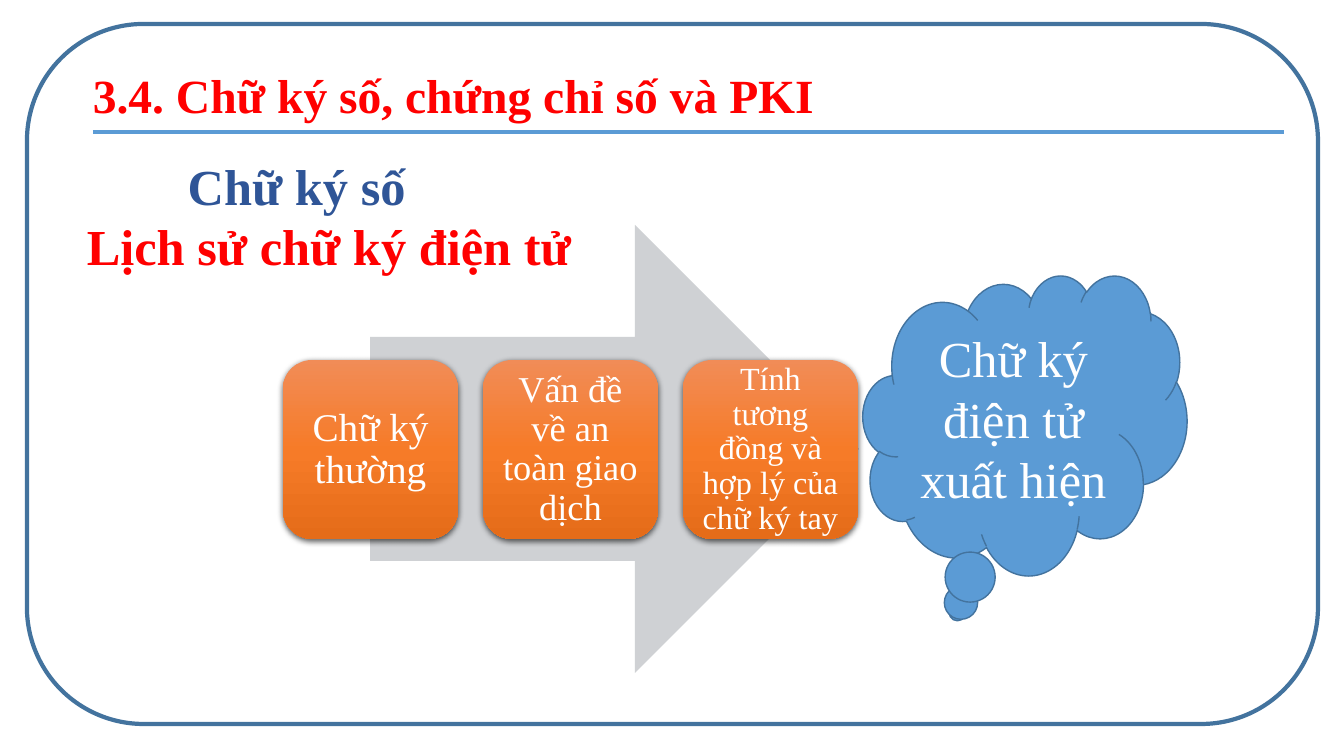
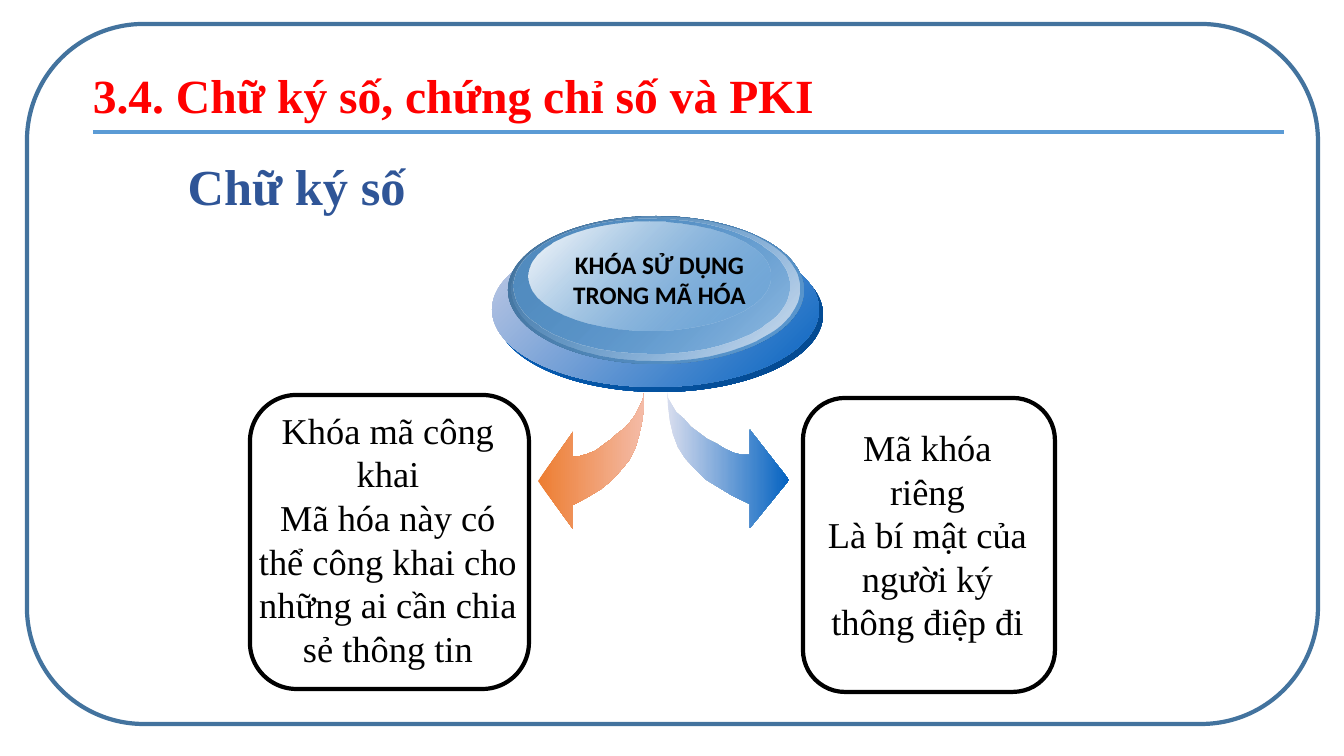
"""Builds two slides on digital signatures: their history and the keys they use."""
import lxml.etree
import pptx
import pptx.dml.color
import pptx.enum.shapes
import pptx.enum.text
import pptx.oxml.ns
import pptx.util

PX = 9071
SERIF = "Times New Roman"
RED, NAVY, BLUE, EDGE = "FF0000", "2F5597", "5B9BD5", "43739E"
BLACK, WHITE, DEEP_BLUE = "000000", "FFFFFF", "0563C1"

rgb = pptx.dml.color.RGBColor.from_string
qn = pptx.oxml.ns.qn
SHAPES = pptx.enum.shapes.MSO_SHAPE
ALIGN = pptx.enum.text.PP_ALIGN
MIDDLE = pptx.enum.text.MSO_ANCHOR.MIDDLE


def paint(shape, stops=(), angle=0, line=None, weight=1):
    """Fill with nothing, one colour or (position, colour, opacity) stops, then outline."""
    shape.shadow.inherit = False
    if not stops:
        shape.fill.background()
    elif isinstance(stops, str):
        shape.fill.solid()
        shape.fill.fore_color.rgb = rgb(stops)
    else:
        shape.fill.gradient()
        shape.fill.gradient_angle = (360 - angle) % 360
        stop_list = shape._element.spPr.find(qn("a:gradFill")).find(qn("a:gsLst"))
        for old_stop in list(stop_list):
            stop_list.remove(old_stop)
        for position, colour, opacity in stops:
            stop = lxml.etree.SubElement(stop_list, qn("a:gs"), pos=str(position * 1000))
            value = lxml.etree.SubElement(stop, qn("a:srgbClr"), val=colour)
            if opacity < 100:
                lxml.etree.SubElement(value, qn("a:alpha"), val=str(opacity * 1000))
    if line:
        shape.line.color.rgb = rgb(line)
        shape.line.width = pptx.util.Pt(weight)
    else:
        shape.line.fill.background()


def write(shape, text, size, colours, align=ALIGN.CENTER, bold=False, font=SERIF):
    """Set wrapped text with one colour per paragraph."""
    frame = shape.text_frame
    frame.word_wrap = True
    frame.text = text
    for paragraph, colour in zip(frame.paragraphs, colours):
        paragraph.alignment = align
        for run in paragraph.runs:
            run.font.size = pptx.util.Pt(size)
            run.font.name = font
            run.font.bold = bold
            run.font.color.rgb = rgb(colour)
    return frame


deck = pptx.Presentation()
deck.slide_width, deck.slide_height = 1344 * PX, 756 * PX

slides = []
for heading in ("Chữ ký số\nLịch sử chữ ký điện tử", "Chữ ký số"):
    slide = deck.slides.add_slide(deck.slide_layouts[6])
    slides.append(slide)
    border = slide.shapes.add_shape(SHAPES.ROUNDED_RECTANGLE, 27 * PX, 24 * PX, 1291 * PX, 700 * PX)
    paint(border, line=EDGE, weight=3)
    rule = slide.shapes.add_connector(
        pptx.enum.shapes.MSO_CONNECTOR.STRAIGHT, 93 * PX, 132 * PX, 1284 * PX, 132 * PX)
    rule.line.color.rgb = rgb(BLUE)
    rule.line.width = pptx.util.Pt(2.25)
    lxml.etree.SubElement(rule._element.spPr, qn("a:effectLst"))
    title = slide.shapes.add_textbox(83 * PX, 61 * PX, 1241 * PX, 68 * PX)
    write(title, "3.4. Chữ ký số, chứng chỉ số và PKI", 34, [RED], ALIGN.LEFT, True)
    topic = slide.shapes.add_textbox(77 * PX, 150 * PX, 1193 * PX, 132 * PX)
    lines = write(topic, heading, 36, [NAVY, RED], ALIGN.JUSTIFY, True)
    lines.paragraphs[0]._p.get_or_add_pPr().set("marL", str(pptx.util.Inches(1)))

history, keys = slides

progress = history.shapes.add_shape(SHAPES.RIGHT_ARROW, 370 * PX, 225 * PX, 489 * PX, 448 * PX)
paint(progress, "CFD1D4")

stages = [
    ("Chữ ký thường", 28, 12),
    ("Vấn đề về an toàn giao dịch", 26, 11),
    ("Tính tương đồng và hợp lý của chữ ký tay", 23, 10),
]
for index, (label, size, inset) in enumerate(stages):
    stage = history.shapes.add_shape(
        SHAPES.ROUNDED_RECTANGLE, (283 + 200 * index) * PX, 360 * PX, 175 * PX, 179 * PX)
    paint(stage, [(0, "F18C57", 100), (50, "F67B28", 100), (100, "E56C19", 100)], 90)
    shadow = lxml.etree.SubElement(
        stage._element.spPr.find(qn("a:effectLst")), qn("a:outerShdw"),
        blurRad="57150", dist="19050", dir="5400000", algn="ctr", rotWithShape="0")
    shade = lxml.etree.SubElement(shadow, qn("a:srgbClr"), val=BLACK)
    lxml.etree.SubElement(shade, qn("a:alpha"), val="63000")
    frame = write(stage, label, size, [WHITE])
    frame.vertical_anchor = MIDDLE
    frame.margin_left = frame.margin_right = inset * PX
    frame.margin_top = frame.margin_bottom = inset * PX
    frame.paragraphs[0].line_spacing = 0.9

outcome = history.shapes.add_shape(SHAPES.CLOUD_CALLOUT, 863 * PX, 275 * PX, 324 * PX, 300 * PX)
paint(outcome, BLUE, line=EDGE)
write(outcome, "Chữ ký điện tử xuất hiện", 36, [WHITE]).vertical_anchor = MIDDLE

for left, top, width, height in [(250, 395, 279, 294), (803, 398, 252, 294)]:
    panel = keys.shapes.add_shape(
        SHAPES.ROUNDED_RECTANGLE, left * PX, top * PX, width * PX, height * PX)
    paint(panel, line=BLACK, weight=3)

to_public = [
    (644, 393), (644, 408), (642, 422), (639, 435), (635, 449), (629, 460), (621, 470),
    (612, 480), (601, 489), (588, 497), (573, 505), (573, 529), (538, 481), (573, 432),
    (573, 457), (580, 456), (587, 454), (595, 451), (602, 446), (610, 440), (617, 434),
    (625, 428), (631, 421), (636, 414), (640, 406), (643, 399),
]
to_private = [
    (667, 391), (668, 406), (670, 421), (673, 434), (678, 447), (685, 458), (695, 469),
    (705, 479), (718, 487), (733, 496), (750, 504), (750, 528), (789, 480), (750, 430),
    (750, 455), (742, 455), (734, 453), (725, 449), (717, 444), (707, 439), (699, 433),
    (691, 427), (684, 419), (676, 412), (672, 405), (668, 398),
]
for outline, start, end in [(to_public, "ED7D31", "F4BBA7"), (to_private, "D8DDEE", DEEP_BLUE)]:
    builder = keys.shapes.build_freeform(*outline[0], scale=PX)
    builder.add_line_segments(outline[1:], close=True)
    paint(builder.convert_to_shape(), [(0, start, 100), (100, end, 100)])

button_layers = [
    ((496, 237, 327, 155), (DEEP_BLUE, 100), ("04488D", 100)),
    ((492, 232, 327, 155), ("C6CDE6", 100), (DEEP_BLUE, 100)),
    ((508, 216, 296, 148), ("416F98", 100), (BLUE, 100)),
    ((511, 217, 288, 144), (BLUE, 0), ("D8E3F1", 100)),
    ((514, 219, 275, 135), ("528CC0", 100), (BLUE, 48)),
    ((529, 222, 242, 109), (WHITE, 100), (BLUE, 38)),
]
for box, start, end in button_layers:
    layer = keys.shapes.add_shape(SHAPES.OVAL, *[length * PX for length in box])
    paint(layer, [(0, *start), (100, *end)], 45)

captions = [
    ((249, 403, 278, 275), "Khóa mã công khai\nMã hóa này có thể công khai cho những ai cần chia sẻ thông tin",
     26, False, SERIF),
    ((545, 244, 229, 72), "KHÓA SỬ DỤNG\nTRONG MÃ HÓA", 18, True, "Calibri"),
    ((815, 420, 225, 231), "Mã khóa riêng\nLà bí mật của người ký thông điệp đi", 26, False, SERIF),
]
for box, text, size, bold, font in captions:
    caption = keys.shapes.add_textbox(*[length * PX for length in box])
    write(caption, text, size, [BLACK, BLACK], bold=bold, font=font)

deck.save("out.pptx")
